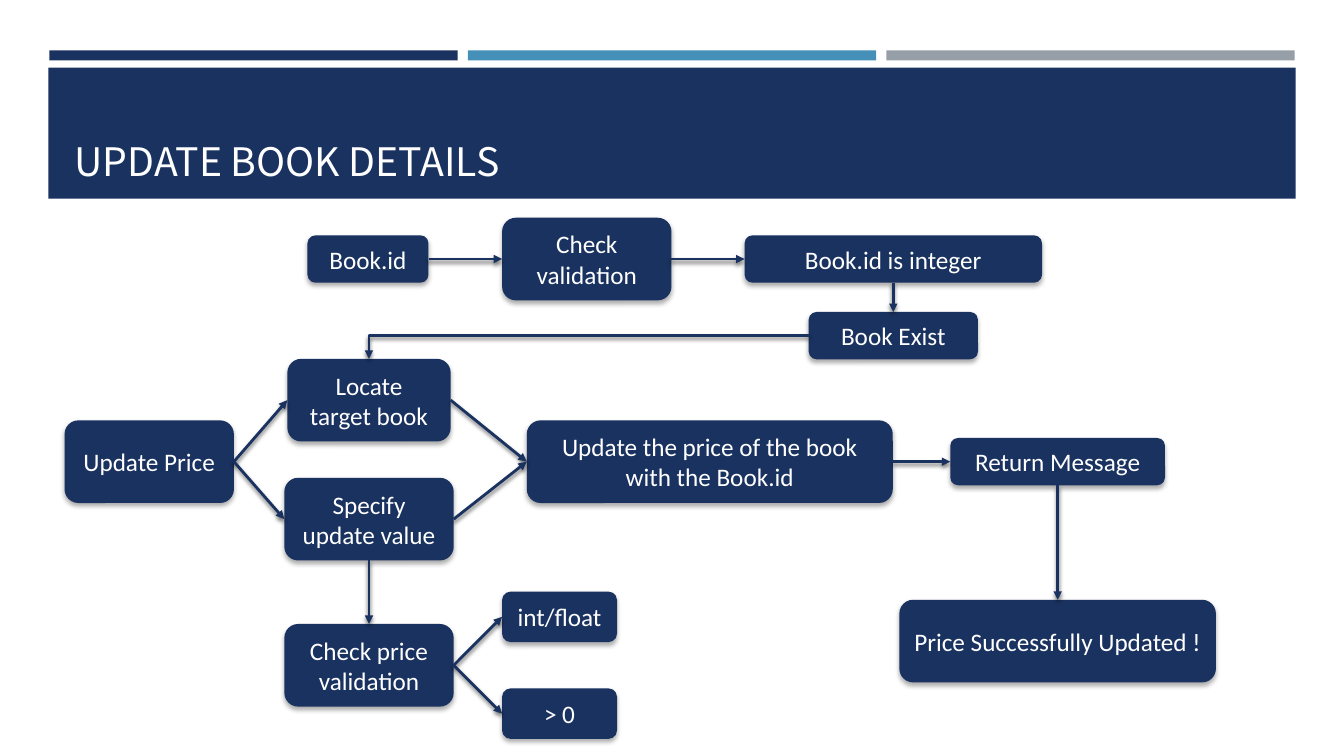
from lxml.etree import SubElement
from pptx import Presentation
from pptx.dml.color import RGBColor
from pptx.enum.shapes import MSO_CONNECTOR, MSO_SHAPE
from pptx.enum.text import MSO_ANCHOR, MSO_AUTO_SIZE, PP_ALIGN
from pptx.oxml.ns import qn
from pptx.util import Inches, Pt

NAVY, BLUE, GREY, WHITE = "1A3260", "4590B8", "969FA7", "FFFFFF"
TOP, LEFT, BOTTOM, RIGHT = range(4)  # connection sites of a box


def rgb(value):
    """Turn a hex string into a colour."""
    return RGBColor.from_string(value)


def write(tf, text, size=18, font="Calibri", color=WHITE,
          align=PP_ALIGN.CENTER, anchor=MSO_ANCHOR.MIDDLE):
    """Fill a text frame, one paragraph for each line of text."""
    tf.word_wrap = True
    tf.auto_size = MSO_AUTO_SIZE.NONE
    tf.vertical_anchor = anchor
    for i, line in enumerate(text.split("\n")):
        p = tf.add_paragraph() if i else tf.paragraphs[0]
        p.alignment = align
        r = p.add_run()
        r.text = line
        r.font.size, r.font.name = Pt(size), font
        r.font.color.rgb = rgb(color)


def add_shadow(sp, blur, dist, alpha):
    """Give a shape or connector a soft black shadow straight below it."""
    effects = SubElement(sp.element.spPr, qn("a:effectLst"))
    shadow = SubElement(effects, qn("a:outerShdw"), blurRad=str(Pt(blur)),
                        dist=str(Pt(dist)), dir="5400000",
                        algn="ctr", rotWithShape="0")
    black = SubElement(shadow, qn("a:srgbClr"), val="000000")
    SubElement(black, qn("a:alpha"), val=str(alpha * 1000))


def site(sp, side):
    """Return the middle of one side of a shape."""
    dx, dy = ((1, 0), (0, 1), (1, 2), (2, 1))[side]
    return sp.left + sp.width * dx // 2, sp.top + sp.height * dy // 2


class FlowSlide:
    """Draws flow chart elements in one style on one slide."""

    def __init__(self, prs):
        """Add a title-only slide."""
        self.slide = prs.slides.add_slide(prs.slide_layouts[5])
        self.shapes = self.slide.shapes

    def bar(self, x, y, w, h, color):
        """Add a plain filled rectangle."""
        sp = self.shapes.add_shape(MSO_SHAPE.RECTANGLE, Inches(x), Inches(y),
                                   Inches(w), Inches(h))
        sp.shadow.inherit = False
        sp.fill.solid()
        sp.fill.fore_color.rgb = rgb(color)
        sp.line.fill.background()

    def title(self, text, x, y, w, h):
        """Place the title in front of the banner."""
        sp = self.shapes.title
        sp.left, sp.top, sp.width, sp.height = map(Inches, (x, y, w, h))
        write(sp.text_frame, text, size=28, font="Noto Sans CJK SC",
              align=PP_ALIGN.LEFT, anchor=MSO_ANCHOR.BOTTOM)
        sp.element.getparent().append(sp.element)

    def box(self, text, cx, cy, w=1.68, h=0.82):
        """Add a rounded step box around a centre point."""
        sp = self.shapes.add_shape(
            MSO_SHAPE.ROUNDED_RECTANGLE, Inches(cx - w / 2),
            Inches(cy - h / 2), Inches(w), Inches(h))
        sp.fill.solid()
        sp.fill.fore_color.rgb = rgb(NAVY)
        sp.line.fill.background()
        add_shadow(sp, blur=3.5, dist=2.2, alpha=32)
        write(sp.text_frame, text)
        return sp

    def arrow(self, start, out, end, into, bent=False):
        """Connect two boxes, with a single corner if bent."""
        kind = MSO_CONNECTOR.ELBOW if bent else MSO_CONNECTOR.STRAIGHT
        sp = self.shapes.add_connector(kind, *site(start, out),
                                       *site(end, into))
        sp.begin_connect(start, out)
        sp.end_connect(end, into)
        if bent:
            sp.element.spPr.find(qn("a:prstGeom")).set("prst",
                                                       "bentConnector2")
        sp.line.color.rgb = rgb(NAVY)
        sp.line.width = Pt(2)
        SubElement(sp.line._get_or_add_ln(), qn("a:tailEnd"), type="triangle")
        add_shadow(sp, blur=3, dist=2, alpha=55)


prs = Presentation()
prs.slide_width, prs.slide_height = Inches(13.33), Inches(7.5)
s = FlowSlide(prs)

for i, color in enumerate((NAVY, BLUE, GREY)):
    s.bar(0.49 + i * 4.15, 0.5, 4.05, 0.1, color)
s.bar(0.48, 0.67, 12.37, 1.3, NAVY)
s.title("UPDATE BOOK DETAILS", 0.64, 0.77, 12.06, 1.11)

# Centres of the main rows and columns
id_row, price_row, check_row = 2.57, 4.58, 6.6
steps_col, exist_col, message_col = 3.66, 8.86, 10.49

book_id = s.box("Book.id", 3.65, id_row, 1.2, 0.47)
check_id = s.box("Check validation", 5.82, id_row)
is_integer = s.box("Book.id is integer", exist_col, id_row, 2.95, 0.47)
exists = s.box("Book Exist", exist_col, 3.33, h=0.47)
update_price = s.box("Update Price", 1.48, price_row)
locate = s.box("Locate\ntarget book", steps_col, 3.97, 1.62)
specify = s.box("Specify update value", steps_col, 5.15)
update_book = s.box("Update the price of the book with the Book.id",
                    7.04, price_row, 3.63)
message = s.box("Return Message", message_col, price_row, 2.13, 0.47)
success = s.box("Price Successfully Updated !", message_col, 6.36, 3.14)
check_price = s.box("Check price validation", steps_col, check_row)
is_number = s.box("int/float", 5.55, check_row - 0.48, 1.14, 0.5)
is_positive = s.box("> 0", 5.55, check_row + 0.48, 1.14, 0.5)

for start, end in ((book_id, check_id), (check_id, is_integer),
                   (update_price, locate), (update_price, specify),
                   (locate, update_book), (specify, update_book),
                   (update_book, message),
                   (check_price, is_number), (check_price, is_positive)):
    s.arrow(start, RIGHT, end, LEFT)
for start, end in ((is_integer, exists), (specify, check_price),
                   (message, success)):
    s.arrow(start, BOTTOM, end, TOP)
s.arrow(exists, LEFT, locate, TOP, bent=True)

prs.save("out.pptx")
